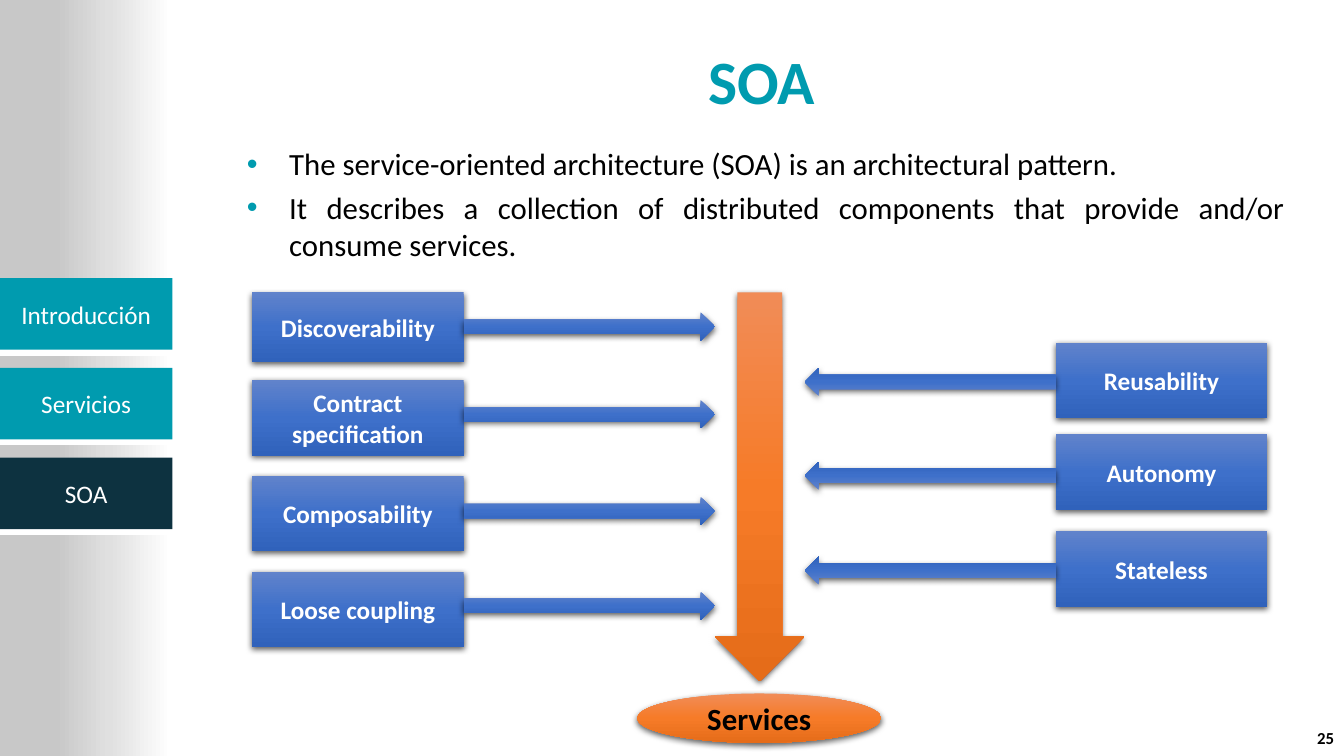
from pptx import Presentation
from pptx.dml.color import RGBColor
from pptx.enum.shapes import MSO_SHAPE
from pptx.enum.text import MSO_ANCHOR, PP_ALIGN
from pptx.oxml import parse_xml
from pptx.oxml.ns import nsdecls, qn
from pptx.util import Inches, Pt

RECT, OVAL = MSO_SHAPE.RECTANGLE, MSO_SHAPE.OVAL
RIGHT_ARROW, DOWN_ARROW = MSO_SHAPE.RIGHT_ARROW, MSO_SHAPE.DOWN_ARROW
MIDDLE, TOP = MSO_ANCHOR.MIDDLE, MSO_ANCHOR.TOP
CENTER, RIGHT, JUSTIFY = PP_ALIGN.CENTER, PP_ALIGN.RIGHT, PP_ALIGN.JUSTIFY

WHITE = RGBColor(0xFF, 0xFF, 0xFF)
BLACK = RGBColor(0x00, 0x00, 0x00)
TEAL = RGBColor(0x00, 0x9B, 0xAF)
NAVY = RGBColor(0x0D, 0x32, 0x40)
GREYS = [(0, WHITE), (36, RGBColor(0xE0, 0xE0, 0xE0)), (67, RGBColor(0xC8, 0xC8, 0xC8))]
BLUES = [(0, RGBColor(0x61, 0x83, 0xCB)), (50, RGBColor(0x3E, 0x70, 0xCA)),
         (100, RGBColor(0x30, 0x62, 0xBB))]
ORANGES = [(0, RGBColor(0xF1, 0x8C, 0x57)), (50, RGBColor(0xF6, 0x7B, 0x28)),
           (100, RGBColor(0xE5, 0x6C, 0x19))]

prs = Presentation()
prs.slide_width, prs.slide_height = Inches(13.33), Inches(7.5)
slide = prs.slides.add_slide(prs.slide_layouts[6])


def add_shape(kind, x, y, w, h, fill, angle=90, shadow=True):
    s = slide.shapes.add_shape(kind, Inches(x), Inches(y), Inches(w), Inches(h))
    s.shadow.inherit = False
    s.line.fill.background()
    if isinstance(fill, RGBColor):
        s.fill.solid()
        s.fill.fore_color.rgb = fill
        return s
    s.fill.background()
    props = s._element.spPr
    stops = "".join(f'<a:gs pos="{pos * 1000}"><a:srgbClr val="{color}"/></a:gs>'
                    for pos, color in fill)
    props.replace(props.find(qn("a:noFill")), parse_xml(
        f'<a:gradFill {nsdecls("a")} rotWithShape="1"><a:gsLst>{stops}</a:gsLst>'
        f'<a:lin ang="{angle * 60000}" scaled="0"/></a:gradFill>'))
    if shadow:
        props.find(qn("a:effectLst")).append(parse_xml(
            f'<a:outerShdw {nsdecls("a")} blurRad="{Pt(4.5)}" dist="{Pt(1.5)}" dir="5400000" '
            'algn="ctr" rotWithShape="0"><a:srgbClr val="000000"><a:alpha val="63000"/>'
            '</a:srgbClr></a:outerShdw>'))
    return s


def write(s, text, size, color, bold=False, align=CENTER, anchor=MIDDLE):
    tf = s.text_frame
    tf.word_wrap = True
    tf.vertical_anchor = anchor
    tf.text = text
    for p in tf.paragraphs:
        p.alignment = align
        for r in p.runs:
            r.font.name = "Calibri"
            r.font.size = Pt(size)
            r.font.bold = bold
            r.font.color.rgb = color
    return tf


add_shape(RECT, -0.01, 0, 1.71, 7.5, GREYS, angle=180, shadow=False)
for i, (label, color) in enumerate([("Introducción", TEAL), ("Servicios", TEAL), ("SOA", NAVY)]):
    y = 2.76 + 0.89 * i
    rule = add_shape(RECT, 0, y + 0.71, 1.71, 0.05, WHITE)
    rule.line.color.rgb = WHITE
    rule.line.width = Pt(1.25)
    write(add_shape(RECT, 0, y, 1.71, 0.71, color), label, 18, WHITE)

title = slide.shapes.add_textbox(Inches(2.27), Inches(0.24), Inches(10.57), Inches(1.11))
write(title, "SOA", 44, TEAL, bold=True)

body = slide.shapes.add_textbox(Inches(2.27), Inches(1.39), Inches(10.57), Inches(1.4))
tf = write(body, "The service-oriented architecture (SOA) is an architectural pattern.\n"
           "It describes a collection of distributed components that provide and/or "
           "consume services.", 22, BLACK, align=JUSTIFY, anchor=TOP)
for i, p in enumerate(tf.paragraphs):
    props = p._p.get_or_add_pPr()
    props.set("marL", str(Inches(0.5)))
    props.set("indent", str(Inches(-0.42)))
    props.append(parse_xml(f'<a:buClr {nsdecls("a")}><a:srgbClr val="{TEAL}"/></a:buClr>'))
    props.append(parse_xml(f'<a:buFont {nsdecls("a")} typeface="Arial"/>'))
    props.append(parse_xml(f'<a:buChar {nsdecls("a")} char="•"/>'))
    if i > 0:
        p.space_before = Pt(4.8)

number = slide.shapes.add_textbox(Inches(12.81), Inches(7.15), Inches(0.52), Inches(0.34))
write(number, "25", 12, BLACK, bold=True, align=RIGHT)

write(add_shape(OVAL, 6.32, 6.88, 2.42, 0.49, ORANGES), "Services", 22, BLACK, bold=True)
add_shape(DOWN_ARROW, 7.09, 2.9, 0.89, 3.86, ORANGES)

principles = [
    ("Discoverability", 2.5, 2.9, 0.69, 4.6, 3.1, 0),
    ("Contract specification", 2.5, 3.77, 0.75, 4.6, 3.97, 0),
    ("Composability", 2.5, 4.72, 0.75, 4.6, 4.93, 0),
    ("Loose coupling", 2.5, 5.67, 0.75, 4.6, 5.87, 0),
    ("Reusability", 10.47, 3.4, 0.75, 7.98, 3.65, 180),
    ("Autonomy", 10.47, 4.31, 0.75, 7.98, 4.58, 180),
    ("Stateless", 10.47, 5.27, 0.75, 7.98, 5.52, 180),
]
for label, x, y, height, arrow_x, arrow_y, rotation in principles:
    write(add_shape(RECT, x, y, 2.1, height, BLUES), label, 18, WHITE, bold=True)
    arrow = add_shape(RIGHT_ARROW, arrow_x, arrow_y, 2.49, 0.28, BLUES)
    arrow.rotation = rotation

prs.save("out.pptx")
